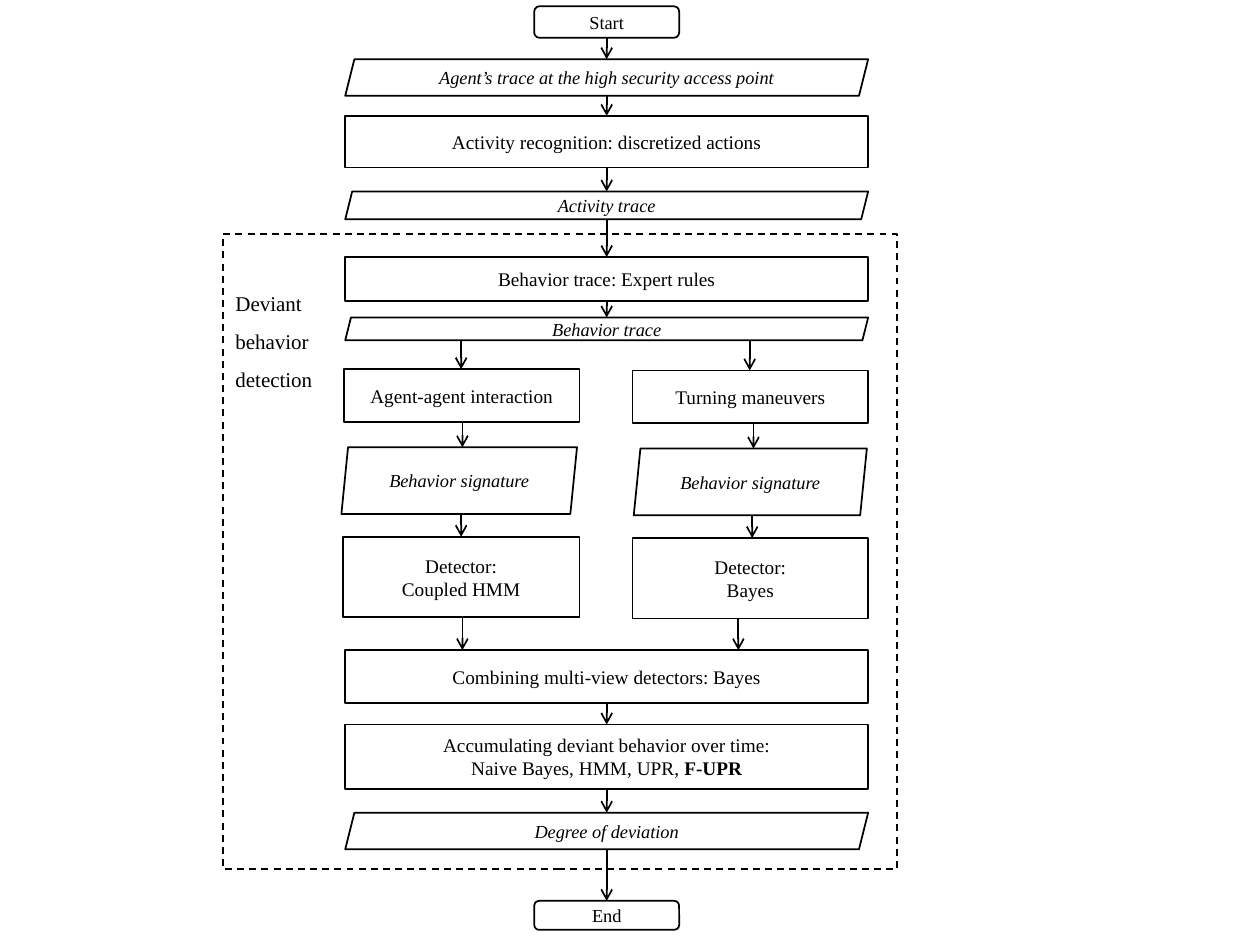
from itertools import pairwise

from lxml import etree
from pptx import Presentation
from pptx.dml.color import RGBColor
from pptx.enum.dml import MSO_LINE
from pptx.enum.shapes import MSO_CONNECTOR, MSO_SHAPE
from pptx.enum.text import MSO_ANCHOR, PP_ALIGN
from pptx.oxml.ns import qn
from pptx.util import Inches, Pt

BLACK = RGBColor(0, 0, 0)
FONT = "Times New Roman"
PROCESS = MSO_SHAPE.RECTANGLE
DATA = MSO_SHAPE.PARALLELOGRAM
TERMINAL = MSO_SHAPE.ROUNDED_RECTANGLE
DASH = MSO_LINE.DASH
STRAIGHT = MSO_CONNECTOR.STRAIGHT
CENTER = PP_ALIGN.CENTER
MIDDLE, TOP = MSO_ANCHOR.MIDDLE, MSO_ANCHOR.TOP

COLUMN = (2.74, 4.15)  # left, width
TERMINAL_COLUMN = (4.24, 1.15)

# kind, text, top, height
INTAKE = [
    (TERMINAL, "Start", 0.05, 0.25),
    (DATA, "Agent’s trace at the high security access point", 0.47, 0.29),
    (PROCESS, "Activity recognition: discretized actions", 0.92, 0.41),
    (DATA, "Activity trace", 1.52, 0.22),
    (PROCESS, "Behavior trace: Expert rules", 2.04, 0.35),
    (DATA, "Behavior trace", 2.52, 0.18),
]
OUTCOME = [
    (PROCESS, "Combining multi-view detectors: Bayes", 5.16, 0.42),
    (PROCESS, "Accumulating deviant behavior over time:\n"
              "Naive Bayes, HMM, UPR, **F-UPR", 5.75, 0.51),
    (DATA, "Degree of deviation", 6.45, 0.29),
    (TERMINAL, "End", 7.15, 0.23),
]
# kind, text, left, top, width, height
INTERACTION = [
    (PROCESS, "Agent-agent interaction", 2.73, 2.93, 1.87, 0.42),
    (DATA, "Behavior signature", 2.71, 3.55, 1.87, 0.53),
    (PROCESS, "Detector:\vCoupled HMM", 2.72, 4.26, 1.88, 0.64),
]
TURNING = [
    (PROCESS, "Turning maneuvers", 5.02, 2.94, 1.87, 0.42),
    (DATA, "Behavior signature", 5.03, 3.56, 1.85, 0.53),
    (PROCESS, "Detector:\vBayes", 5.02, 4.27, 1.87, 0.64),
]


def style_text(frame, size, italic=False, align=None, line_spacing=None):
    for para in frame.paragraphs:
        para.alignment = align
        para.line_spacing = line_spacing
        for span in para.runs:
            span.font.name = FONT
            span.font.size = Pt(size)
            span.font.italic = italic
            span.font.color.rgb = BLACK


def add_outline(page, kind, left, top, width, height):
    shape = page.shapes.add_shape(
        kind, Inches(left), Inches(top), Inches(width), Inches(height))
    shape.shadow.inherit = False
    shape.fill.background()
    shape.line.color.rgb = BLACK
    shape.line.width = Pt(1)
    shape.text_frame.word_wrap = True
    return shape


def add_step(page, kind, text, left, top, width, height):
    """One flowchart step; words after ** are bold."""
    shape = add_outline(page, kind, left, top, width, height)
    frame = shape.text_frame
    frame.margin_top = frame.margin_bottom = 0
    frame.vertical_anchor = MIDDLE
    plain, _, strong = text.partition("**")
    frame.text = plain
    if strong:
        span = frame.paragraphs[-1].add_run()
        span.text = strong
        span.font.bold = True
    style_text(frame, 11 if kind == PROCESS else 10.5, kind == DATA, CENTER)
    return shape


def add_arrow(page, x, start, end):
    arrow = page.shapes.add_connector(
        STRAIGHT, Inches(x), Inches(start), Inches(x), Inches(end))
    arrow.line.color.rgb = BLACK
    arrow.line.width = Pt(1)
    line = arrow.line._get_or_add_ln()
    etree.SubElement(line, qn("a:tailEnd"), type="arrow")
    etree.SubElement(arrow._element.spPr, qn("a:effectLst"))


def add_main_flow(page, steps):
    for kind, text, top, height in steps:
        left, width = TERMINAL_COLUMN if kind == TERMINAL else COLUMN
        add_step(page, kind, text, left, top, width, height)
    for (_, _, top, height), (_, _, next_top, _) in pairwise(steps):
        add_arrow(page, COLUMN[0] + COLUMN[1] / 2, top + height, next_top)


def add_branch(page, steps, arrow_xs):
    """A detector branch, with arrows in from and out to the main flow."""
    for kind, *details in steps:
        shape = add_step(page, kind, *details)
        if kind == DATA:
            shape.adjustments[0] = 0.1
    source_bottom = INTAKE[-1][2] + INTAKE[-1][3]
    starts = [source_bottom] + [step[3] + step[5] for step in steps]
    ends = [step[3] for step in steps] + [OUTCOME[0][2]]
    for x, start, end in zip(arrow_xs, starts, ends):
        add_arrow(page, x, start, end)


def add_detection_frame(page, left, top, width, height):
    shape = add_outline(page, PROCESS, left, top, width, height)
    shape.line.dash_style = DASH
    frame = shape.text_frame
    frame.vertical_anchor = TOP
    frame.margin_top = Inches(0.35)
    frame.text = "Deviant\nbehavior\ndetection"
    style_text(frame, 12, align=PP_ALIGN.LEFT, line_spacing=1.5)


def main():
    deck = Presentation()
    deck.slide_width, deck.slide_height = Inches(10), Inches(7.5)
    page = deck.slides.add_slide(deck.slide_layouts[6])
    add_detection_frame(page, 1.77, 1.86, 5.35, 5.04)
    add_main_flow(page, INTAKE)
    add_branch(page, INTERACTION, [3.66, 3.67, 3.66, 3.67])
    add_branch(page, TURNING, [5.95, 5.98, 5.97, 5.86])
    add_main_flow(page, OUTCOME)
    deck.save("out.pptx")


if __name__ == "__main__":
    main()
